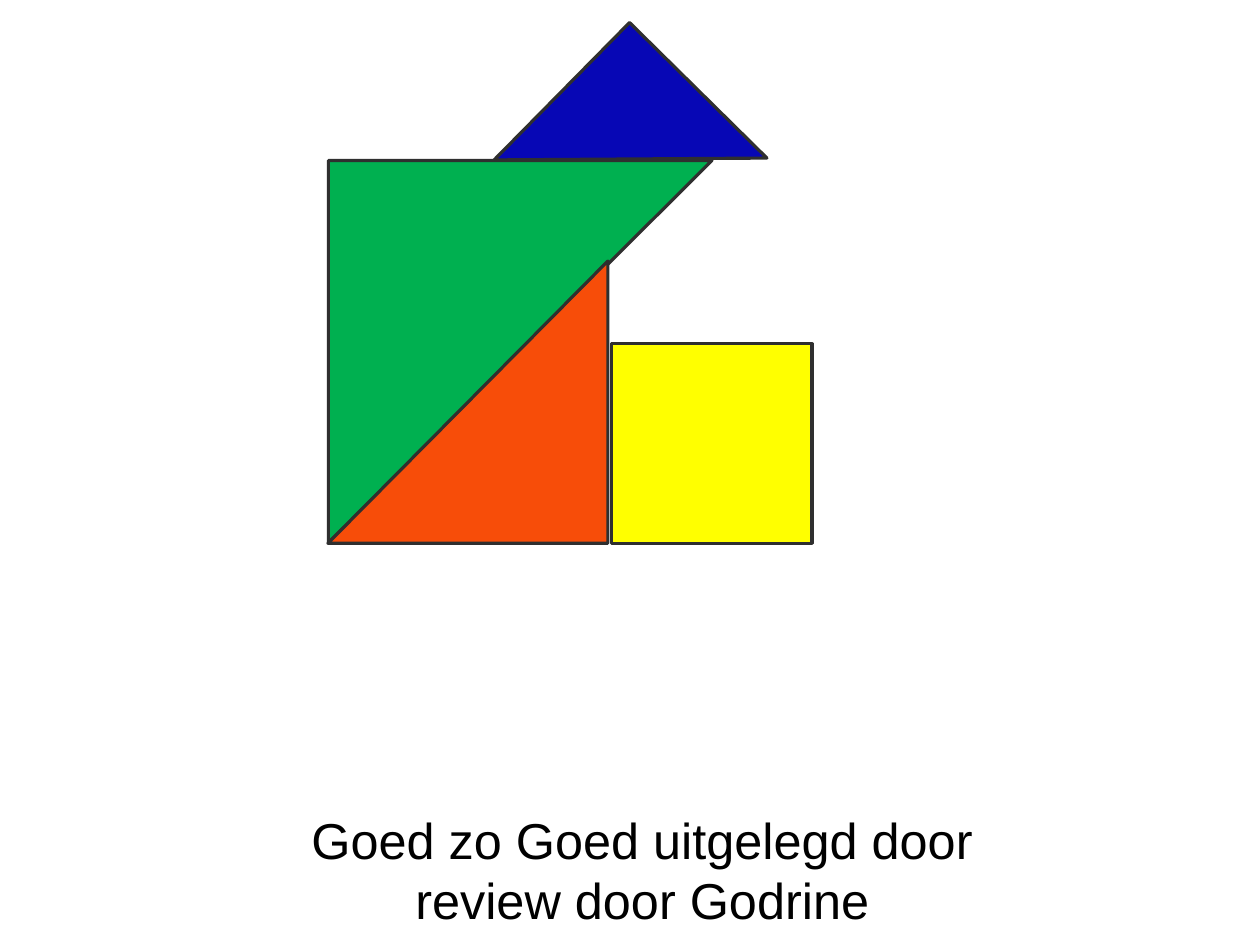
import pptx
import pptx.dml.color
import pptx.enum.shapes
import pptx.enum.text
import pptx.util

Cm = pptx.util.Cm
RGBColor = pptx.dml.color.RGBColor
SHAPE = pptx.enum.shapes.MSO_SHAPE

BLUE = RGBColor(0x07, 0x07, 0xB5)
GREEN = RGBColor(0x00, 0xB0, 0x50)
ORANGE = RGBColor(0xF7, 0x4D, 0x09)
YELLOW = RGBColor(0xFF, 0xFF, 0x00)
OUTLINE = RGBColor(0x2F, 0x2F, 0x2F)
BLACK = RGBColor(0x00, 0x00, 0x00)

# Shape, fill, rotation, then left, top, width and height in cm within the tangram
PIECES = [
    (SHAPE.RIGHT_TRIANGLE, BLUE, 134.6, 4.64, 0, 4.32, 4.32),
    (SHAPE.RIGHT_TRIANGLE, GREEN, 90, 0.05, 2.18, 8.56, 8.59),
    (SHAPE.RIGHT_TRIANGLE, ORANGE, 270, 0, 4.47, 6.32, 6.27),
    (SHAPE.RECTANGLE, YELLOW, 0, 6.37, 6.3, 4.5, 4.47),
]


def add_tangram(page, left, top):
    """Place the tangram pieces relative to the given corner."""
    for kind, fill, rotation, x, y, width, height in PIECES:
        piece = page.shapes.add_shape(
            kind, left + Cm(x), top + Cm(y), Cm(width), Cm(height))
        piece.rotation = rotation
        piece.shadow.inherit = False
        piece.fill.solid()
        piece.fill.fore_color.rgb = fill
        piece.line.color.rgb = OUTLINE
        piece.line.width = pptx.util.Pt(2)


def fill_caption(box, left, top, width, height):
    """Move the subtitle placeholder into the given box and write the caption."""
    box.left, box.top, box.width, box.height = left, top, width, height
    frame = box.text_frame
    frame.text = "Goed zo Goed uitgelegd door review door Godrine"
    frame.word_wrap = True
    frame.auto_size = pptx.enum.text.MSO_AUTO_SIZE.NONE
    frame.vertical_anchor = pptx.enum.text.MSO_ANCHOR.TOP
    frame.margin_left = frame.margin_right = Cm(0.25)
    frame.margin_top = frame.margin_bottom = Cm(0.25)
    para = frame.paragraphs[0]
    para.alignment = pptx.enum.text.PP_ALIGN.CENTER
    para.space_before = pptx.util.Pt(0)
    para.font.name = "Arial"
    para.font.size = pptx.util.Pt(32)
    para.font.color.rgb = BLACK


def main():
    deck = pptx.Presentation()
    deck.slide_width, deck.slide_height = Cm(28.22), Cm(21.16)
    page = deck.slides.add_slide(deck.slide_layouts[0])

    # The page has a subtitle only
    title = page.shapes.title.element
    title.getparent().remove(title)

    fill_caption(page.placeholders[1], Cm(5.36), Cm(17.86), Cm(18.06), Cm(2.54))
    add_tangram(page, Cm(7.32), Cm(1.4))
    deck.save("out.pptx")


if __name__ == "__main__":
    main()
